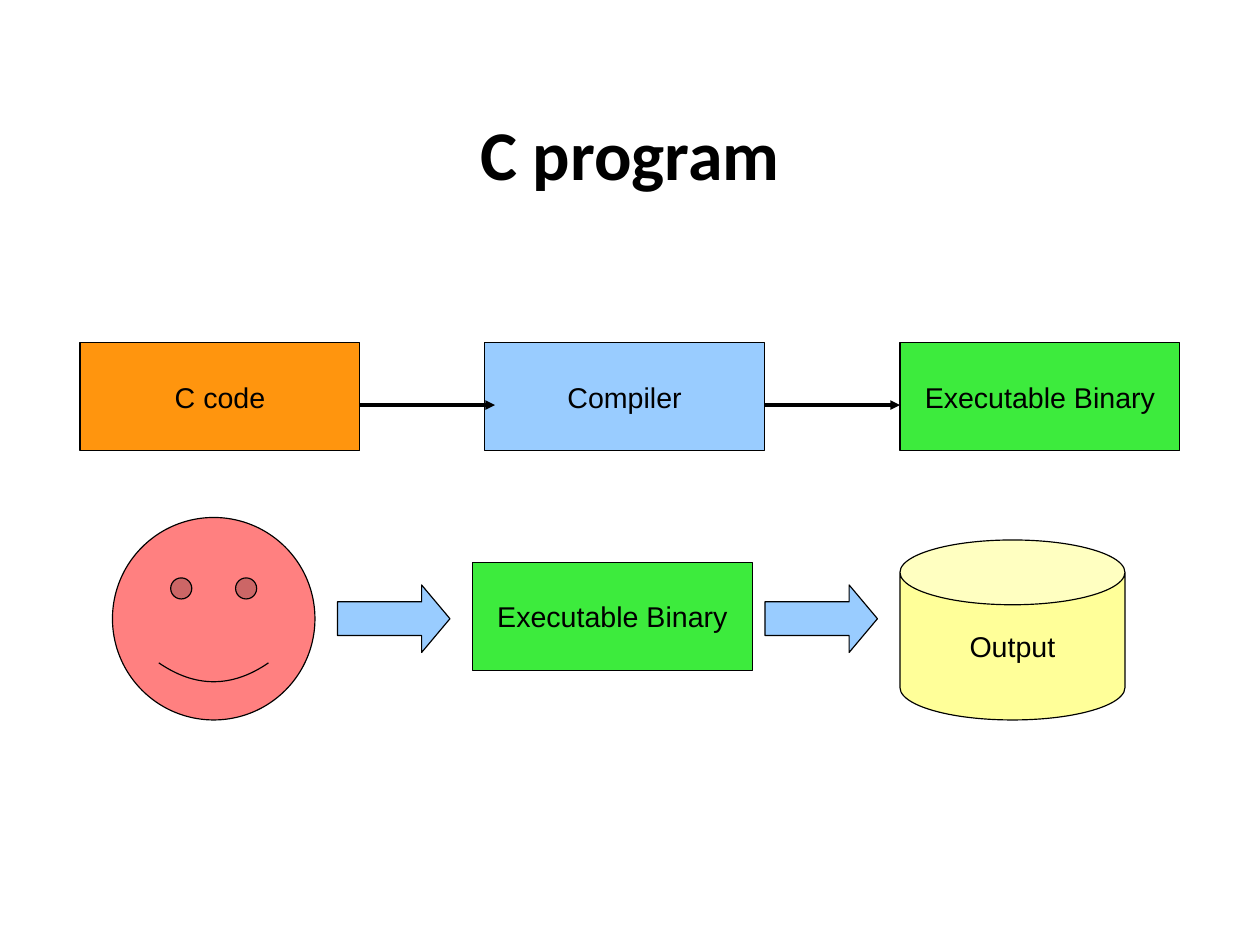
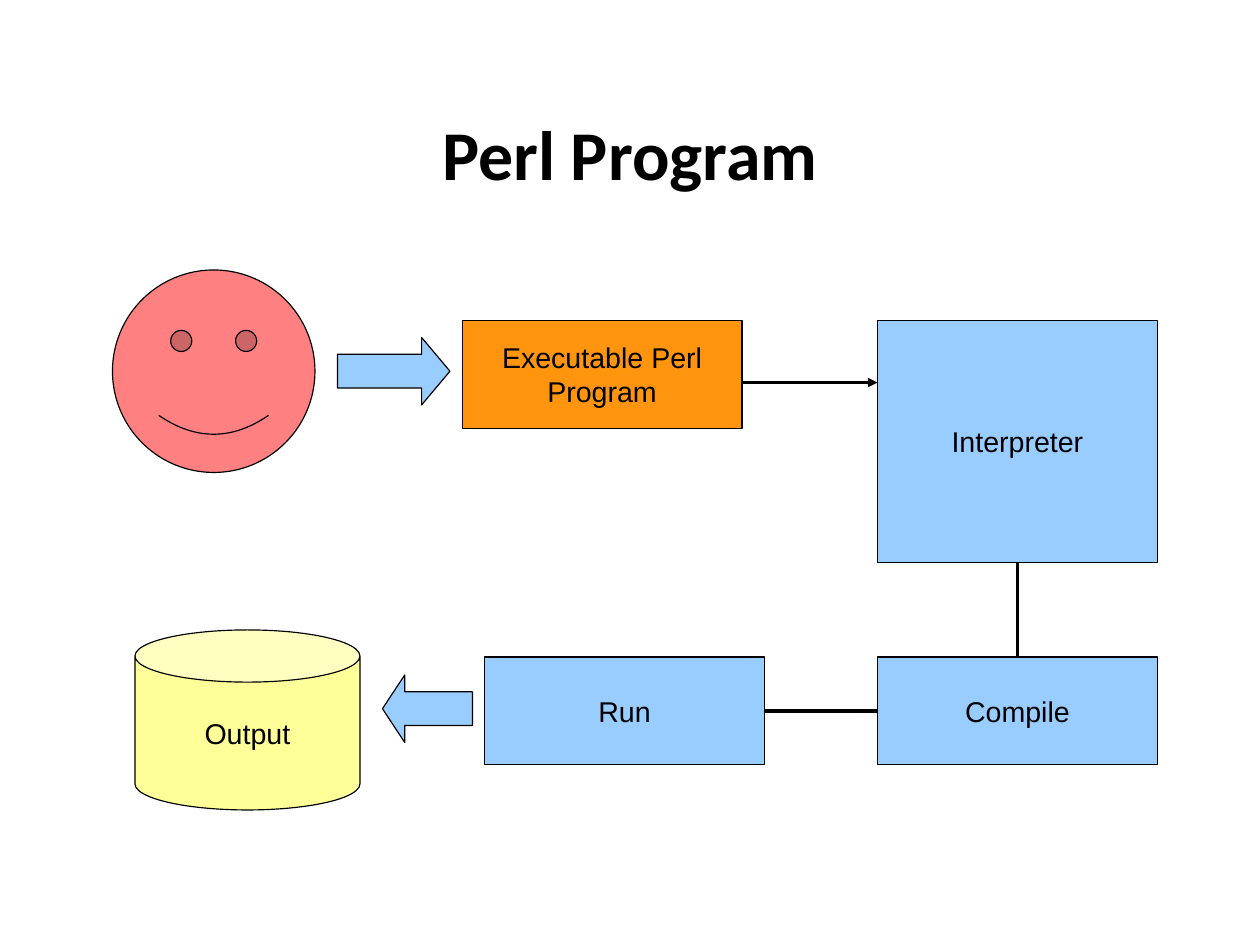
from lxml import etree
from pptx import Presentation
from pptx import util as u
from pptx.dml.color import RGBColor
from pptx.enum import shapes, text
from pptx.oxml import ns

COLS, ROWS = 28, 21
WIDTH, HEIGHT = u.Cm(28), u.Cm(21)
BOX_W, BOX_H = 6.22, 2.4
FACE, CAN_W, CAN_H = 4.5, 5, 4
ARROW_H = 1.5
TOP, LEFT, BOTTOM, RIGHT = range(4)

BLACK = RGBColor(0x00, 0x00, 0x00)
ORANGE = RGBColor(0xFF, 0x95, 0x0E)
BLUE = RGBColor(0x99, 0xCC, 0xFF)
GREEN = RGBColor(0x3D, 0xEB, 0x3D)
PINK = RGBColor(0xFF, 0x80, 0x80)
YELLOW = RGBColor(0xFF, 0xFF, 0x99)

KIND = shapes.MSO_SHAPE


def col(n):
    return u.Emu(round(WIDTH * n / COLS))


def row(n):
    return u.Emu(round(HEIGHT * n / ROWS))


def write(sp, words, font, size, bold=False):
    tf = sp.text_frame
    tf.word_wrap = True
    tf.auto_size = text.MSO_AUTO_SIZE.NONE
    tf.vertical_anchor = text.MSO_ANCHOR.MIDDLE
    p = tf.paragraphs[0]
    p.alignment = text.PP_ALIGN.CENTER
    r = p.add_run()
    r.text = words
    r.font.name, r.font.size, r.font.bold = font, u.Pt(size), bold
    r.font.color.rgb = BLACK
    return tf


def add_slide(prs, layout, title):
    s = prs.slides.add_slide(layout)
    tf = write(s.shapes.title, title, "Calibri", 44, True)
    tf.margin_left = tf.margin_right = tf.margin_top = tf.margin_bottom = 0
    return s


def add_part(s, kind, x, y, w, h, fill, words="", adjust=()):
    sp = s.shapes.add_shape(kind, col(x), row(y), col(w), row(h))
    sp.shadow.inherit = False
    sp.fill.solid()
    sp.fill.fore_color.rgb = fill
    sp.line.color.rgb = BLACK
    sp.line.width = u.Pt(0)
    for i, value in enumerate(adjust):
        sp.adjustments[i] = value
    if words:
        write(sp, words, "Arial", 18)
    return sp


def add_box(s, x, y, fill, words, h=BOX_H):
    return add_part(s, KIND.RECTANGLE, x, y, BOX_W, h, fill, words)


def add_face(s, x, y):
    add_part(s, KIND.SMILEY_FACE, x, y, FACE, FACE, PINK, adjust=[0.05])


def add_can(s, x, y, rim):
    add_part(s, KIND.CAN, x, y, CAN_W, CAN_H, YELLOW, "Output", [rim])


def add_arrow(s, x, y, kind=KIND.RIGHT_ARROW, w=2.5, head=0.42):
    add_part(s, kind, x, y, w, ARROW_H, BLUE, adjust=[0.5, head])


def add_line(s, x1=0, y1=0, x2=0, y2=0):
    c = s.shapes.add_connector(shapes.MSO_CONNECTOR.STRAIGHT,
                               col(x1), row(y1), col(x2), row(y2))
    c.line.color.rgb = BLACK
    c.line.width = u.Pt(0)
    etree.SubElement(c._element.spPr, ns.qn("a:effectLst"))
    return c


def add_pointer(s, x1, x2, y):
    c = add_line(s, x1, y, x2, y)
    etree.SubElement(c.line._get_or_add_ln(), ns.qn("a:tailEnd"), type="triangle")


def join(s, start, start_side, end, end_side):
    c = add_line(s)
    c.begin_connect(start, start_side)
    c.end_connect(end, end_side)


def c_program(prs, layout):
    s = add_slide(prs, layout, "C program")
    stages = [(1.78, ORANGE, "C code"), (10.77, BLUE, "Compiler"),
              (20, GREEN, "Executable Binary")]
    for x, fill, words in stages:
        add_box(s, x, 7.62, fill, words)
    for x1, x2 in [(8, 11), (17, 20)]:
        add_pointer(s, x1, x2, 9)
    add_face(s, 2.5, 11.5)
    add_box(s, 10.5, 12.5, GREEN, "Executable Binary")
    for x in (7.5, 17):
        add_arrow(s, x, 13)
    add_can(s, 20, 12, 0.36)


def perl_program(prs, layout):
    s = add_slide(prs, layout, "Perl Program")
    add_pointer(s, 16.5, 19.5, 8.5)
    add_box(s, 10.27, 7.12, ORANGE, "Executable Perl Program")
    interpreter = add_box(s, 19.5, 7.12, BLUE, "Interpreter", 5.38)
    compiling = add_box(s, 19.5, 14.6, BLUE, "Compile")
    running = add_box(s, 10.77, 14.6, BLUE, "Run")
    join(s, compiling, TOP, interpreter, BOTTOM)
    join(s, compiling, LEFT, running, RIGHT)
    add_face(s, 2.5, 6)
    add_arrow(s, 7.5, 7.5)
    add_can(s, 3, 14, 0.29)
    add_arrow(s, 8.5, 15, KIND.LEFT_ARROW, 2, 0.33)


def main():
    prs = Presentation()
    prs.slide_width, prs.slide_height = WIDTH, HEIGHT
    layout = prs.slide_layouts.get_by_name("Title Only")
    title = layout.placeholders[0]
    title.left, title.top = col(2), row(1.63)
    title.width, title.height = col(24), row(3.5)
    c_program(prs, layout)
    perl_program(prs, layout)
    prs.save("out.pptx")


if __name__ == "__main__":
    main()
